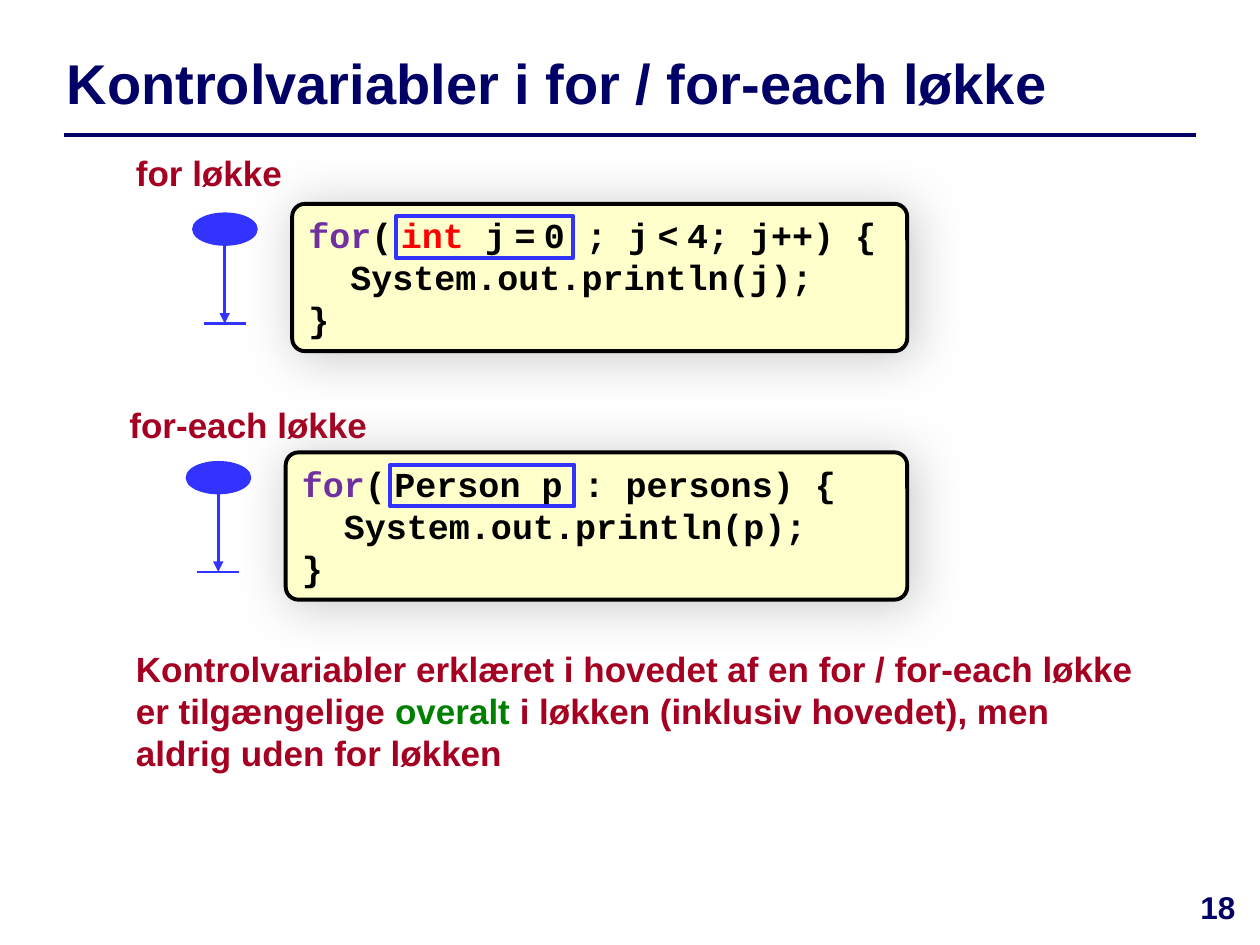
import pptx
import pptx.util
import pptx.dml.color
import pptx.enum.shapes
import pptx.enum.text
import pptx.oxml
import pptx.oxml.ns

Cm, Pt = pptx.util.Cm, pptx.util.Pt
SHAPE = pptx.enum.shapes.MSO_SHAPE
ALIGN = pptx.enum.text.PP_ALIGN
ANCHOR = pptx.enum.text.MSO_ANCHOR

NAVY, RED, BLUE, GREEN = "000066", "A50021", "3333FF", "008000"
BLACK, PURPLE, KEYWORD, CREAM = "000000", "7030A0", "FF0000", "FFFFCC"
NS = pptx.oxml.ns.nsdecls("a")
SHADOW = (f'<a:effectLst {NS}><a:outerShdw blurRad="381000" dist="38100" dir="2700000">'
          '<a:srgbClr val="808080"><a:alpha val="43000"/></a:srgbClr>'
          '</a:outerShdw></a:effectLst>')


def color(value):
    return pptx.dml.color.RGBColor.from_string(value)


class SlideBuilder:
    heading = {"name": "Arial", "size": Pt(32), "bold": True}
    body = {"name": "Arial", "size": Pt(20), "bold": True}
    number = {"name": "Arial", "size": Pt(18), "bold": True}
    code = {"name": "Courier New", "size": Pt(20), "bold": True}

    def __init__(self, prs):
        self.slide = prs.slides.add_slide(prs.slide_layouts[5])
        self.shapes = self.slide.shapes

    def add_runs(self, p, runs, style):
        """Each run is (text, colour) with an optional size in points."""
        for text, hue, *size in runs:
            r = p.add_run()
            r.text = text
            for name, value in style.items():
                setattr(r.font, name, value)
            if size:
                r.font.size = Pt(size[0])
            r.font.color.rgb = color(hue)

    def title(self, text, x, y, w, h):
        sp = self.shapes.title
        sp.left, sp.top, sp.width, sp.height = Cm(x), Cm(y), Cm(w), Cm(h)
        tf = sp.text_frame
        tf.vertical_anchor = ANCHOR.MIDDLE
        tf.auto_size = pptx.enum.text.MSO_AUTO_SIZE.NONE
        tf.paragraphs[0].alignment = ALIGN.LEFT
        self.add_runs(tf.paragraphs[0], [(text, NAVY)], self.heading)

    def text(self, runs, x, y, w, h, style=None, align=ALIGN.LEFT, wrap=True):
        tf = self.shapes.add_textbox(Cm(x), Cm(y), Cm(w), Cm(h)).text_frame
        tf.word_wrap = wrap
        tf.paragraphs[0].alignment = align
        self.add_runs(tf.paragraphs[0], runs, style or self.body)

    def shape(self, kind, x, y, w, h, line, width, fill=None, shapes=None):
        sp = (shapes or self.shapes).add_shape(kind, Cm(x), Cm(y), Cm(w), Cm(h))
        sp.shadow.inherit = False
        if fill:
            sp.fill.solid()
            sp.fill.fore_color.rgb = color(fill)
        else:
            sp.fill.background()
        sp.line.color.rgb = color(line)
        sp.line.width = Pt(width)
        return sp

    def line(self, x1, y1, x2, y2, hue, width, arrow=False, shapes=None):
        sp = (shapes or self.shapes).add_connector(
            pptx.enum.shapes.MSO_CONNECTOR.STRAIGHT, Cm(x1), Cm(y1), Cm(x2), Cm(y2))
        sp.line.color.rgb = color(hue)
        sp.line.width = Pt(width)
        spPr = sp._element.spPr
        if arrow:
            spPr.find(pptx.oxml.ns.qn("a:ln")).append(
                pptx.oxml.parse_xml(f'<a:tailEnd {NS} type="triangle"/>'))
        spPr.append(pptx.oxml.parse_xml(f"<a:effectLst {NS}/>"))

    def code_box(self, lines, x, y, w, h):
        sp = self.shape(SHAPE.ROUNDED_RECTANGLE, x, y, w, h, BLACK, 2.25, CREAM)
        sp.adjustments[0] = 0.087
        spPr = sp._element.spPr
        spPr.remove(spPr.find(pptx.oxml.ns.qn("a:effectLst")))
        spPr.append(pptx.oxml.parse_xml(SHADOW))
        tf = sp.text_frame
        tf.word_wrap = True
        tf.vertical_anchor = ANCHOR.TOP
        for i, runs in enumerate(lines):
            p = tf.paragraphs[0] if i == 0 else tf.add_paragraph()
            p.alignment = ALIGN.LEFT
            self.add_runs(p, runs, self.code)

    def scope_marker(self, x, y):
        """Ellipse with an arrow down to a bar: the reach of the variable."""
        shapes = self.shapes.add_group_shape().shapes
        mid, end = x + 0.63, y + 2.21
        self.shape(SHAPE.OVAL, x, y, 1.27, 0.62, BLUE, 1.5, BLUE, shapes)
        self.line(mid, y + 0.62, mid, end, BLUE, 1.5, True, shapes)
        self.line(mid - 0.42, end, mid + 0.42, end, BLUE, 1.5, False, shapes)

    def loop(self, label, lines, x, label_y, y, frame_x, frame_w):
        self.text([(label, RED)], x, label_y, 5.5, 1.11, wrap=False)
        self.code_box(lines, x + 3.4, y, 18.29 - x - 3.4, 2.97)
        self.shape(SHAPE.RECTANGLE, frame_x, y + 0.25, frame_w, 0.84, BLUE, 2.25)
        self.scope_marker(x + 1.41, y + 0.2)


def main():
    prs = pptx.Presentation()
    prs.slide_width, prs.slide_height = Cm(25.4), Cm(19.05)
    s = SlideBuilder(prs)

    # Title and rule
    s.title("Kontrolvariabler i for / for-each løkke", 1.09, 0.71, 24.31, 1.9)
    s.line(1.3, 2.72, 24.1, 2.72, NAVY, 2)

    # The two loops
    thin = (" ", BLACK, 8)
    start = [("for", PURPLE), ("(", BLACK), thin]
    for_head = start + [
        ("int ", KEYWORD), ("j", BLACK), thin, ("=", BLACK), thin,
        ("0 ; j", BLACK), thin, ("<", BLACK), thin, ("4; j++) {", BLACK)]
    each_head = start + [("Person p : persons) {", BLACK)]
    close = [("}", BLACK)]
    s.loop("for løkke", [for_head, [("  System.out.println(j);", BLACK)], close],
           2.49, 2.92, 4.11, 7.98, 3.58)
    s.loop("for-each løkke", [each_head, [("  System.out.println(p);", BLACK)], close],
           2.36, 8, 9.12, 7.87, 3.71)

    # Conclusion
    s.text([("Kontrolvariabler erklæret i hovedet af en for / for-each løkke "
             "er tilgængelige ", RED), ("overalt ", GREEN),
            ("i løkken (inklusiv hovedet), men aldrig uden for løkken", RED)],
           2.49, 12.93, 21, 2.82)

    # Slide number
    s.text([("18", NAVY)], 23.65, 17.78, 1.8, 1.27, s.number, ALIGN.CENTER)

    prs.save("out.pptx")


if __name__ == "__main__":
    main()
